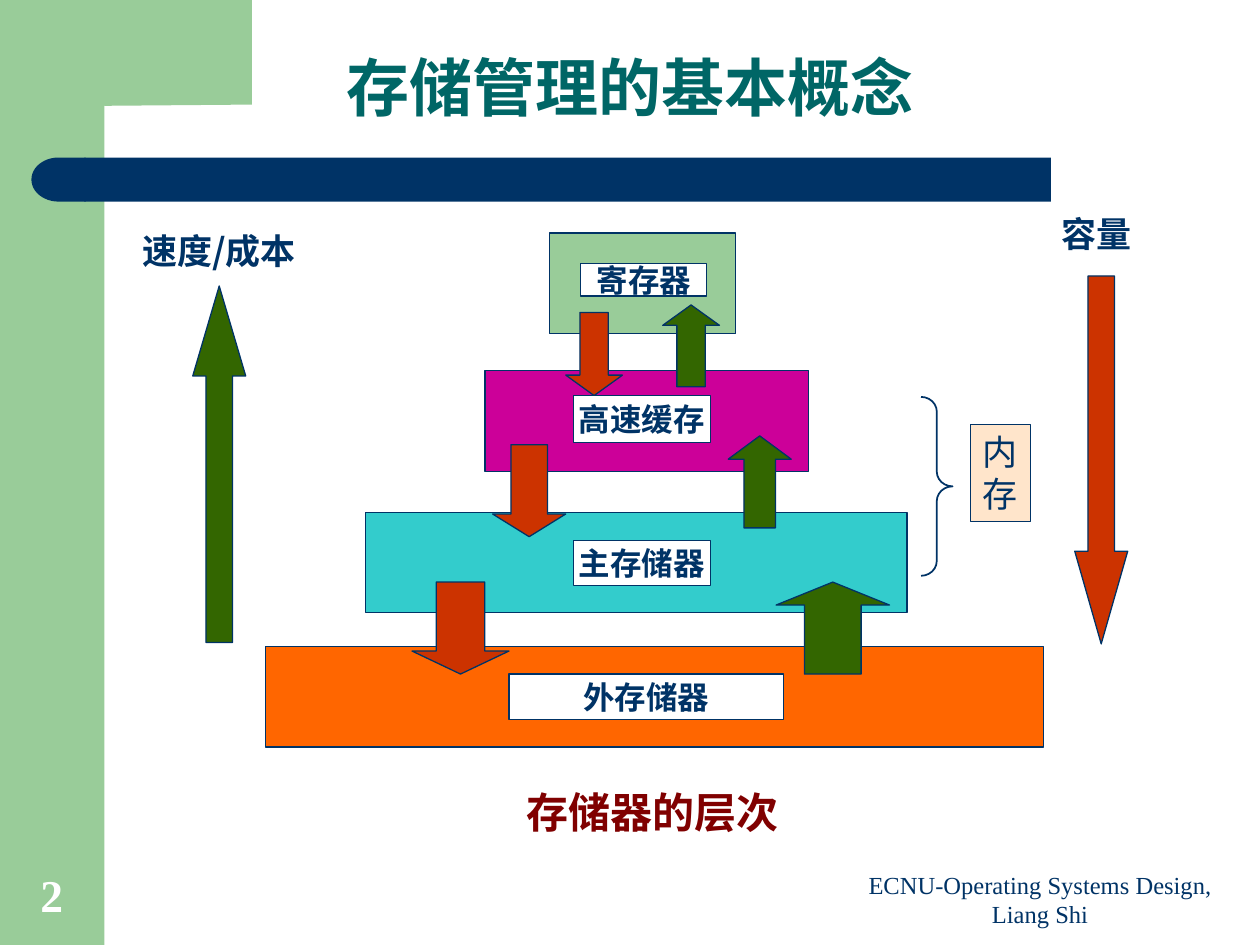
"""Build the slide on the levels of the storage hierarchy."""
from lxml.etree import SubElement
from pptx import Presentation
from pptx.dml.color import RGBColor
from pptx.enum.shapes import MSO_SHAPE as Preset
from pptx.enum.text import MSO_ANCHOR as Anchor, MSO_AUTO_SIZE as AutoSize, PP_ALIGN as Align
from pptx.oxml.ns import qn
from pptx.util import Inches, Pt

NAVY = RGBColor(0x00, 0x33, 0x66)
TEAL = RGBColor(0x00, 0x66, 0x66)
SAGE = RGBColor(0x99, 0xCC, 0x99)
TURQUOISE = RGBColor(0x33, 0xCC, 0xCC)
MAGENTA = RGBColor(0xCC, 0x00, 0x99)
ORANGE = RGBColor(0xFF, 0x66, 0x00)
RED = RGBColor(0xCC, 0x33, 0x00)
GREEN = RGBColor(0x33, 0x66, 0x00)
PEACH = RGBColor(0xFF, 0xCC, 0x99)
MAROON = RGBColor(0x80, 0x00, 0x00)
WHITE = RGBColor(0xFF, 0xFF, 0xFF)

SERIF = "Times New Roman"
SANS = "Noto Sans CJK SC"


def write_text(frame, text, size=18, color=NAVY, bold=True, font=SERIF,
               align=Align.LEFT, anchor=Anchor.TOP, wrap=True, spacing=None):
    frame.auto_size = AutoSize.NONE
    frame.word_wrap = wrap
    frame.vertical_anchor = anchor
    frame.text = text
    for paragraph in frame.paragraphs:
        paragraph.alignment = align
        paragraph.line_spacing = spacing
        for run in paragraph.runs:
            run.font.size = Pt(size)
            run.font.bold = bold
            run.font.color.rgb = color
            run.font.name = font
            SubElement(run.font._element, qn("a:ea"), typeface=SANS)


class SlideBuilder:
    def __init__(self, slide, outline=NAVY):
        self.slide = slide
        self.outline = outline

    def title(self, text, box, **style):
        heading = self.slide.shapes.title
        heading.left, heading.top, heading.width, heading.height = map(Inches, box)
        write_text(heading.text_frame, text, **style)

    def text(self, text, box, **style):
        label = self.slide.shapes.add_textbox(*map(Inches, box))
        write_text(label.text_frame, text, **style)

    def paint(self, shape, fill, line_width):
        shape.shadow.inherit = False
        if fill is None:
            shape.fill.background()
        else:
            shape.fill.solid()
            shape.fill.fore_color.rgb = fill
        if line_width:
            shape.line.color.rgb = self.outline
            shape.line.width = Pt(line_width)
        else:
            shape.line.fill.background()

    def shape(self, preset, box, fill=None, line_width=0.75, adjustments=()):
        shape = self.slide.shapes.add_shape(preset, *map(Inches, box))
        for index, value in enumerate(adjustments):
            shape.adjustments[index] = value
        self.paint(shape, fill, line_width)
        return shape

    def outline_shape(self, points, fill):
        start, *rest = [(Inches(x), Inches(y)) for x, y in points]
        builder = self.slide.shapes.build_freeform(*start)
        builder.add_line_segments(rest, close=True)
        self.paint(builder.convert_to_shape(), fill, 0)

    def arrow(self, preset, box, head):
        fill = RED if preset == Preset.DOWN_ARROW else GREEN
        self.shape(preset, box, fill, adjustments=(0.5, head))

    def label(self, text, box):
        plate = self.shape(Preset.RECTANGLE, box, WHITE)
        write_text(plate.text_frame, text, align=Align.CENTER, anchor=Anchor.MIDDLE, wrap=False)


def draw_frame(builder):
    builder.shape(Preset.RECTANGLE, (0, 0, 0.83, 7.5), SAGE, 0)
    builder.outline_shape([(0.5, 0), (2, 0), (2, 0.83), (0.83, 0.84), (0.81, 0.83), (0.77, 0.85),
                           (0.74, 0.88), (0.71, 0.92), (0.69, 0.98), (0.68, 1.04),
                           (0.67, 1.16), (0.67, 1.28), (0.5, 1.28)], SAGE)
    builder.shape(Preset.ROUNDED_RECTANGLE, (0.67, 1.25, 7.67, 0.35), NAVY, 0, (0,))
    cap = builder.shape(Preset.FLOWCHART_DELAY, (0.25, 1.25, 0.43, 0.35), NAVY, 0)
    cap._element.spPr.xfrm.set("flipH", "1")


def draw_hierarchy(builder):
    levels = [
        ("寄存器", (4.36, 1.85, 1.48, 0.8), SAGE, (4.61, 2.09, 1, 0.26)),
        ("高速缓存", (3.85, 2.94, 2.57, 0.8), MAGENTA, (4.55, 3.14, 1.09, 0.37)),
        ("主存储器", (2.9, 4.07, 4.3, 0.79), TURQUOISE, (4.55, 4.29, 1.09, 0.36)),
        ("外存储器", (2.11, 5.13, 6.17, 0.8), ORANGE, (4.04, 5.35, 2.18, 0.36)),
    ]
    arrows = [
        (Preset.DOWN_ARROW, (4.49, 2.48, 0.45, 0.66), 0.36),
        (Preset.UP_ARROW, (5.26, 2.42, 0.45, 0.65), 0.36),
        (Preset.DOWN_ARROW, (3.91, 3.53, 0.58, 0.73), 0.31),
        (Preset.UP_ARROW, (5.78, 3.46, 0.5, 0.73), 0.37),
        (Preset.DOWN_ARROW, (3.27, 4.62, 0.77, 0.73), 0.25),
        (Preset.UP_ARROW, (6.16, 4.62, 0.9, 0.73), 0.25),
        (Preset.DOWN_ARROW, (8.53, 2.19, 0.42, 2.92), 1.75),
        (Preset.UP_ARROW, (1.53, 2.27, 0.42, 2.83), 1.7),
    ]
    for _, box, fill, _ in levels:
        builder.shape(Preset.RECTANGLE, box, fill)
    for preset, box, head in arrows:
        builder.arrow(preset, box, head)
    for name, _, _, box in levels:
        builder.label(name, box)


def draw_memory_note(builder):
    builder.shape(Preset.RIGHT_BRACE, (7.31, 3.15, 0.25, 1.42), line_width=1,
                  adjustments=(0.47, 0.5))
    memory = builder.shape(Preset.RECTANGLE, (7.7, 3.37, 0.48, 0.77), PEACH, 0.25)
    color = memory._element.spPr.find(qn("a:solidFill")).find(qn("a:srgbClr"))
    SubElement(color, qn("a:alpha"), val="50000")
    write_text(memory.text_frame, "内\n存", size=20, bold=False, wrap=False)


def main():
    deck = Presentation()
    deck.slide_width, deck.slide_height = Inches(10), Inches(7.5)
    builder = SlideBuilder(deck.slides.add_slide(deck.slide_layouts[5]))
    draw_frame(builder)
    builder.title("存储管理的基本概念", (0, 0.29, 10, 0.75), size=36, color=TEAL, font=SANS,
                  align=Align.CENTER, anchor=Anchor.BOTTOM, spacing=0.9)
    builder.text("速度/成本", (1.03, 1.77, 1.83, 0.77), size=20, font=SANS)
    builder.text("容量", (7.95, 1.64, 1.5, 1.1), size=20, align=Align.CENTER)
    draw_hierarchy(builder)
    draw_memory_note(builder)
    builder.text("存储器的层次", (4.08, 6.19, 2.2, 0.5), size=24, color=MAROON, wrap=False)
    builder.text("ECNU-Operating Systems Design, Liang Shi", (6.67, 6.9, 3.17, 0.52), size=14,
                 bold=False, align=Align.CENTER, anchor=Anchor.BOTTOM)
    builder.text("2", (0, 6.83, 0.82, 0.53), size=26, color=WHITE,
                 align=Align.CENTER, anchor=Anchor.BOTTOM)
    deck.save("out.pptx")


if __name__ == "__main__":
    main()
